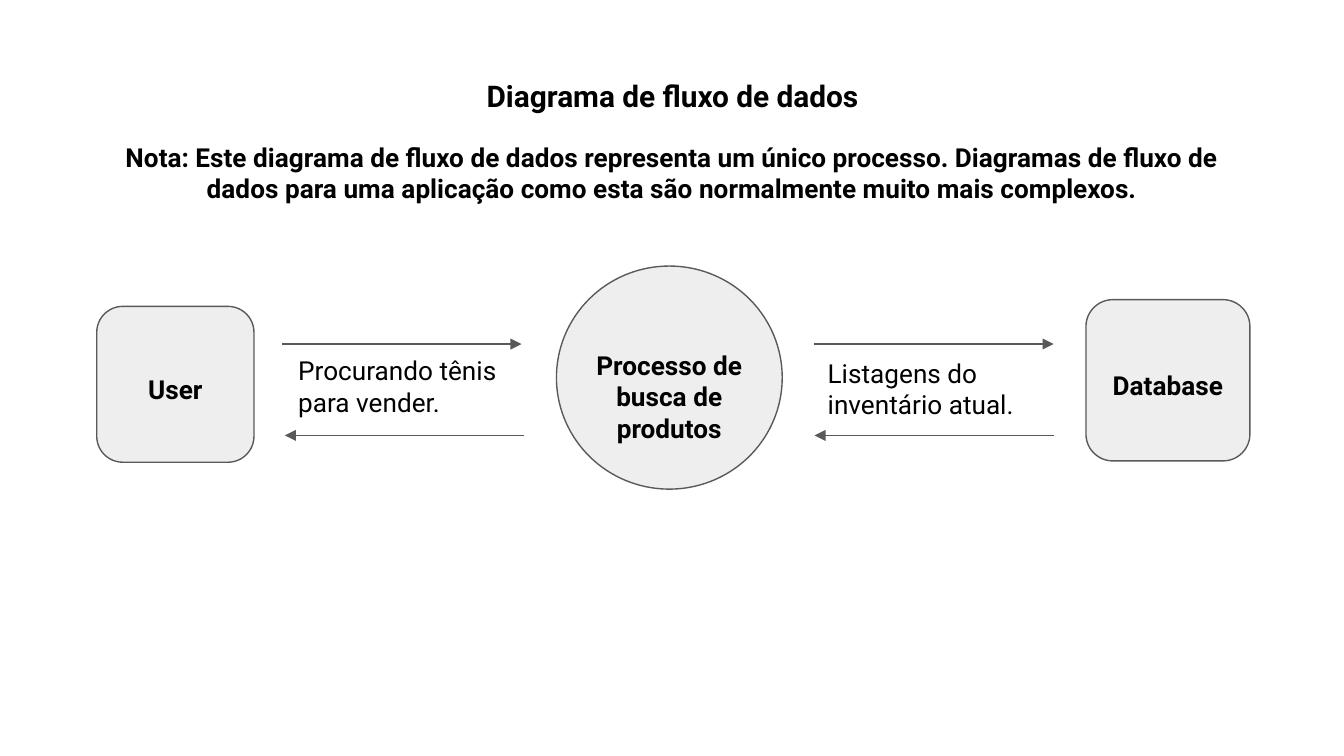
from dataclasses import dataclass

from lxml.etree import SubElement
from pptx import Presentation
from pptx.dml.color import RGBColor
from pptx.enum.shapes import MSO_CONNECTOR, MSO_SHAPE
from pptx.enum.text import PP_ALIGN
from pptx.oxml.ns import qn
from pptx.util import Inches, Pt


@dataclass(frozen=True)
class Theme:
    font: str = "Roboto"
    title_size: Pt = Pt(16)
    body_size: Pt = Pt(14)
    text: RGBColor = RGBColor(0x00, 0x00, 0x00)
    fill: RGBColor = RGBColor(0xEE, 0xEE, 0xEE)
    line: RGBColor = RGBColor(0x59, 0x59, 0x59)
    line_width: Pt = Pt(0.75)


theme = Theme()
presentation = Presentation()
presentation.slide_width = Inches(10)
presentation.slide_height = presentation.slide_width * 9 // 16
slide = presentation.slides.add_slide(presentation.slide_layouts[6])

# Square grid: 100 units across the slide, the same unit downwards.
UNIT = presentation.slide_width / 100


def grid(*units):
    """Turn grid units into slide lengths."""
    return [round(unit * UNIT) for unit in units]


def add_text(text, box, size=theme.body_size, bold=True, alignment=PP_ALIGN.CENTER):
    frame = slide.shapes.add_textbox(*grid(*box)).text_frame
    frame.word_wrap = True
    frame.margin_left, frame.margin_top, frame.margin_right, frame.margin_bottom = grid(1, 1, 1, 1)
    paragraph = frame.paragraphs[0]
    paragraph.text = text
    paragraph.alignment = alignment
    paragraph.font.name = theme.font
    paragraph.font.size = size
    paragraph.font.bold = bold
    paragraph.font.color.rgb = theme.text


# Heading
add_text("Diagrama de fluxo de dados", (15.5, 4.8, 69.1, 4.7), size=theme.title_size)
add_text(
    "Nota: Este diagrama de fluxo de dados representa um único processo. "
    "Diagramas de fluxo de dados para uma aplicação como esta são normalmente "
    "muito mais complexos.",
    (7.1, 9.5, 85.8, 6.7),
)

# Nodes: label, outline, left, top, width, height, label top, label height
nodes = [
    ("User", MSO_SHAPE.FLOWCHART_ALTERNATE_PROCESS, 7.2, 22.8, 11.7, 11.6, 26.8, 4.4),
    ("Processo de busca de produtos", MSO_SHAPE.OVAL, 41.4, 19.8, 16.8, 16.6, 25, 9.1),
    ("Database", MSO_SHAPE.FLOWCHART_ALTERNATE_PROCESS, 80.8, 22.3, 12.2, 12, 26.5, 4.4),
]
for label, outline, left, top, width, height, label_top, label_height in nodes:
    node = slide.shapes.add_shape(outline, *grid(left, top, width, height))
    node.shadow.inherit = False
    node.fill.solid()
    node.fill.fore_color.rgb = theme.fill
    node.line.color.rgb = theme.line
    node.line.width = theme.line_width
    add_text(label, (left, label_top, width, label_height))

# Flows: each pair of nodes has an arrow out above and an arrow back below
OUT_ROW, BACK_ROW = 25.6, 32.4
arrows = [
    (21, 38.8, OUT_ROW),
    (39, 21.2, BACK_ROW),
    (60.6, 78.4, OUT_ROW),
    (78.4, 60.6, BACK_ROW),
]
for start, end, row in arrows:
    arrow = slide.shapes.add_connector(MSO_CONNECTOR.STRAIGHT, *grid(start, row, end, row))
    arrow.line.color.rgb = theme.line
    arrow.line.width = theme.line_width
    SubElement(arrow.line._get_or_add_ln(), qn("a:tailEnd"), type="triangle")
    SubElement(arrow._element.spPr, qn("a:effectLst"))

flow_labels = [
    ("Procurando tênis para vender.", (21.2, 25.4, 17.8, 6.7)),
    ("Listagens do inventário atual.", (60.6, 25.6, 20.2, 6.7)),
]
for label, box in flow_labels:
    add_text(label, box, bold=False, alignment=PP_ALIGN.LEFT)

presentation.save("out.pptx")
